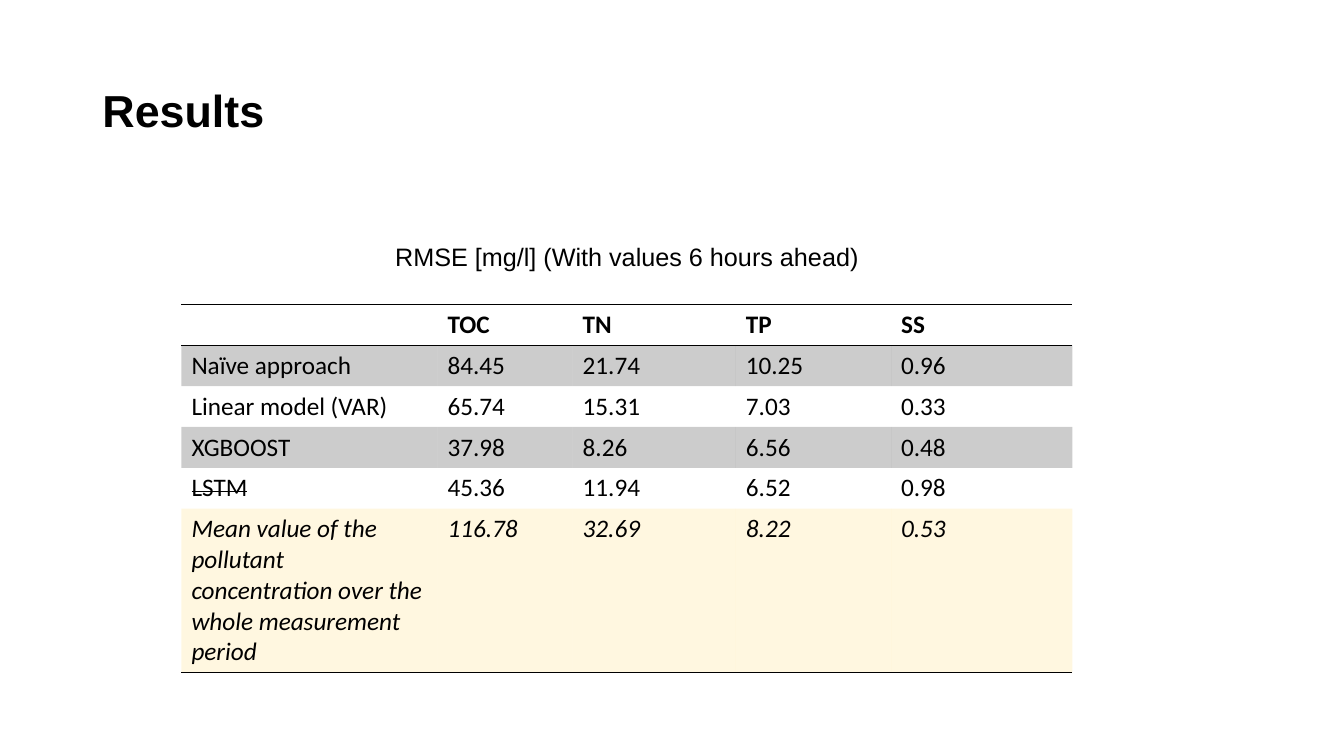
from lxml.etree import SubElement
from pptx import Presentation
from pptx.dml.color import RGBColor
from pptx.enum.text import MSO_ANCHOR, MSO_AUTO_SIZE, PP_ALIGN
from pptx.oxml import parse_xml
from pptx.oxml.ns import nsdecls, qn
from pptx.util import Pt

PLAIN = "{2D5ABB26-0587-4C30-8999-92F81FD0307C}"
COLS = [182.9, 96.5, 116.6, 110.9, 129.6]
ROW, TALL = 29.2, 115.4
DATA = [
    ["", "TOC", "TN", "TP", "SS"],
    ["Naïve approach", "84.45", "21.74", "10.25", "0.96"],
    ["Linear model (VAR)", "65.74", "15.31", "7.03", "0.33"],
    ["XGBOOST", "37.98", "8.26", "6.56", "0.48"],
    ["LSTM", "45.36", "11.94", "6.52", "0.98"],
    ["Mean value of the pollutant concentration over the whole measurement period",
     "116.78", "32.69", "8.22", "0.53"],
]


def color(code):
    return RGBColor.from_string(code)


class Deck:
    def __init__(self, wide, high):
        self.file = Presentation()
        self.file.slide_width, self.file.slide_height = Pt(wide), Pt(high)
        self.slide = self.file.slides.add_slide(self.file.slide_layouts[5])
        self.ink = "000000"
        self.head = {"name": "Arial", "size": Pt(32), "bold": True}
        self.label = {"name": "Arial", "size": Pt(18), "bold": False}
        self.body = {"name": "Calibri", "size": Pt(18), "bold": False}

    def words(self, frame, text, style):
        para = frame.paragraphs[0]
        run = para.add_run()
        run.text = text
        for key, value in style.items():
            setattr(run.font, key, value)
        run.font.color.rgb = color(self.ink)
        return para, run

    def title(self, text, left, top, wide, high):
        shape = self.slide.shapes.title
        shape.left, shape.top = Pt(left), Pt(top)
        shape.width, shape.height = Pt(wide), Pt(high)
        shape.text_frame.vertical_anchor = MSO_ANCHOR.MIDDLE
        para, _ = self.words(shape.text_frame, text, self.head)
        para.alignment, para.line_spacing = PP_ALIGN.LEFT, 0.9

    def note(self, text, left, top, wide, high):
        box = self.slide.shapes.add_textbox(Pt(left), Pt(top), Pt(wide), Pt(high))
        frame = box.text_frame
        frame.word_wrap = True
        frame.auto_size = MSO_AUTO_SIZE.SHAPE_TO_FIT_TEXT
        para, _ = self.words(frame, text, self.label)
        para.alignment = PP_ALIGN.CENTER

    def tint(self, cell, code):
        cell.fill.solid()
        cell.fill.fore_color.rgb = color(code)
        tone = cell._tc.tcPr.find(".//" + qn("a:srgbClr"))
        SubElement(tone, qn("a:alpha"), val="20000")

    def rule(self, cell, sides):
        # Border lines come before the fill
        for spot, side in enumerate(sides):
            line = parse_xml(
                f'<a:ln{side} {nsdecls("a")} w="12700"><a:solidFill>'
                f'<a:srgbClr val="{self.ink}"/></a:solidFill></a:ln{side}>')
            cell._tc.get_or_add_tcPr().insert(spot, line)

    def table(self, data, left, top, cols, rows):
        grid = self.slide.shapes.add_table(
            len(rows), len(cols), Pt(left), Pt(top), Pt(sum(cols)), Pt(sum(rows))).table
        grid.first_row = grid.horz_banding = False
        grid._tbl.tblPr.find(qn("a:tableStyleId")).text = PLAIN
        for col, wide in zip(grid.columns, cols):
            col.width = Pt(wide)
        last = len(rows) - 1
        for r, high in enumerate(rows):
            grid.rows[r].height = Pt(high)
            style = {**self.body, "bold": r == 0, "italic": r == last}
            for c, text in enumerate(data[r]):
                cell = grid.cell(r, c)
                if text:
                    _, run = self.words(cell.text_frame, text, style)
                    if text == "LSTM":
                        run._r.get_or_add_rPr().set("strike", "sngStrike")
                # Grey bands, yellow last row
                if r == last:
                    self.tint(cell, "FFD966")
                elif r % 2:
                    self.tint(cell, "000000")
                else:
                    cell.fill.background()
                self.rule(cell, {0: "TB", last: "B"}.get(r, ""))


def main():
    deck = Deck(960, 540)
    # Heading
    deck.title("Results", 66, 28.8, 828, 104.4)
    # Error table
    deck.table(DATA, 129.6, 217.4, COLS, [ROW] * 5 + [TALL])
    # Caption above the table
    deck.note("RMSE [mg/l] (With values 6 hours ahead)", 253.4, 168.5, 388.8, 29)
    deck.file.save("out.pptx")


if __name__ == "__main__":
    main()
